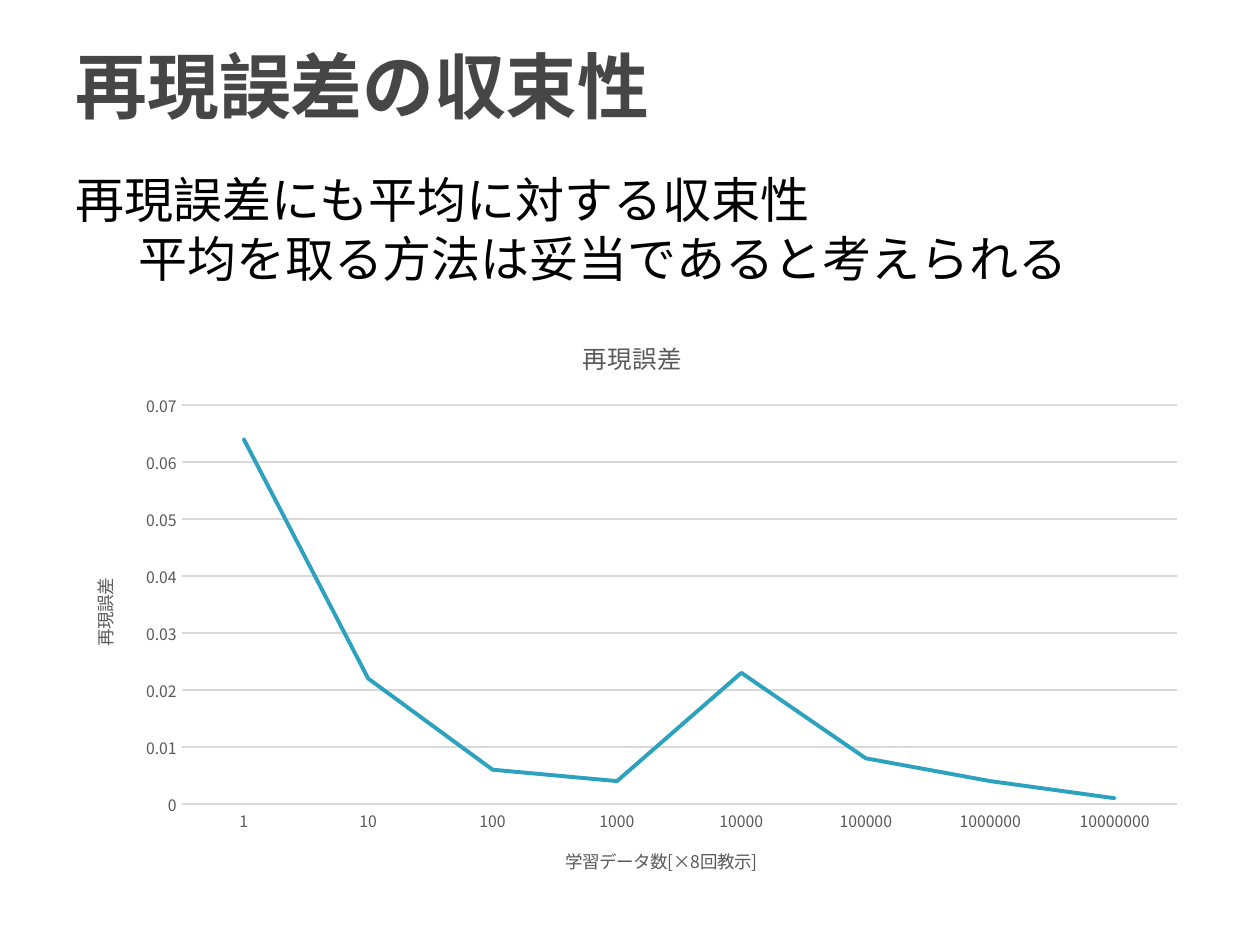
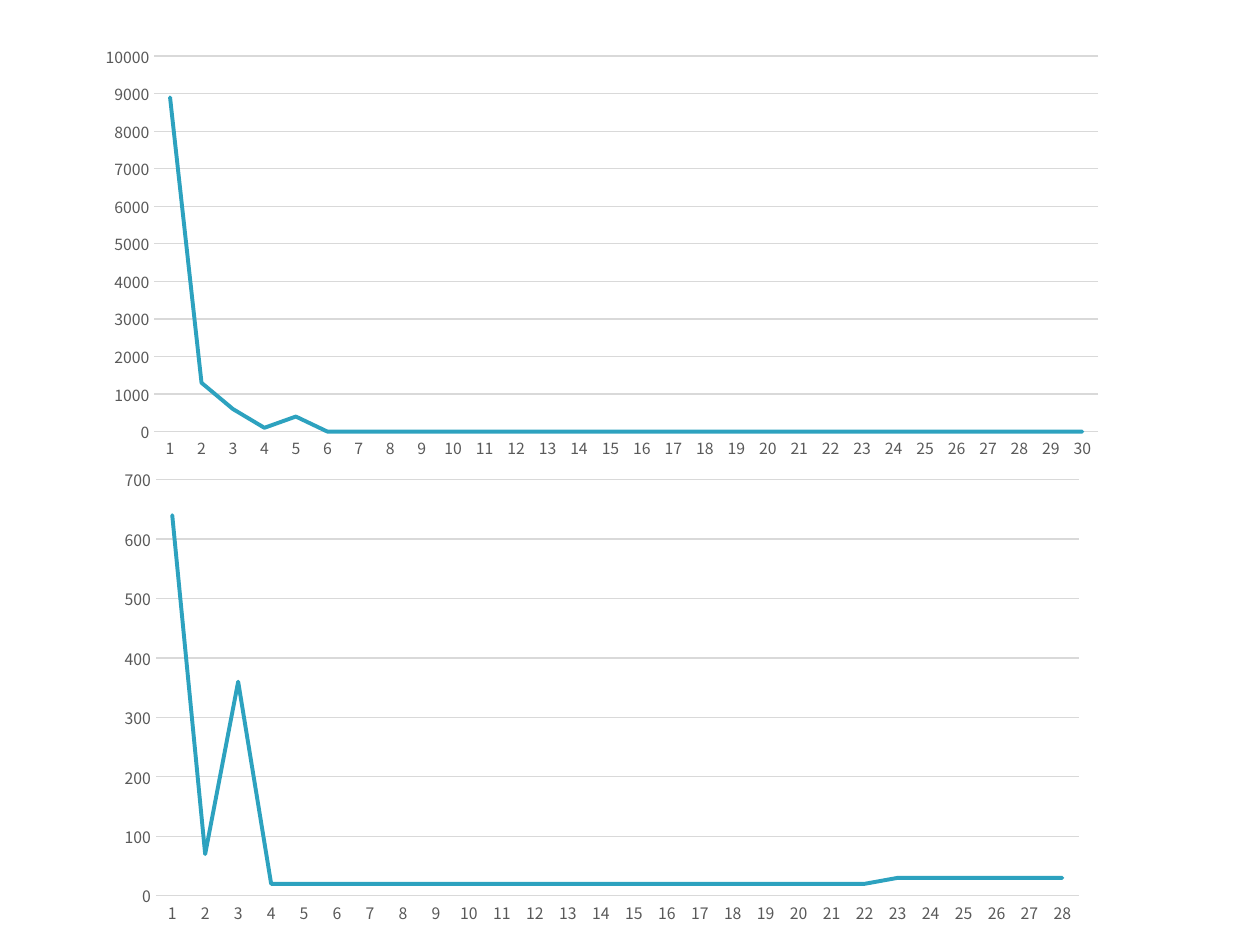
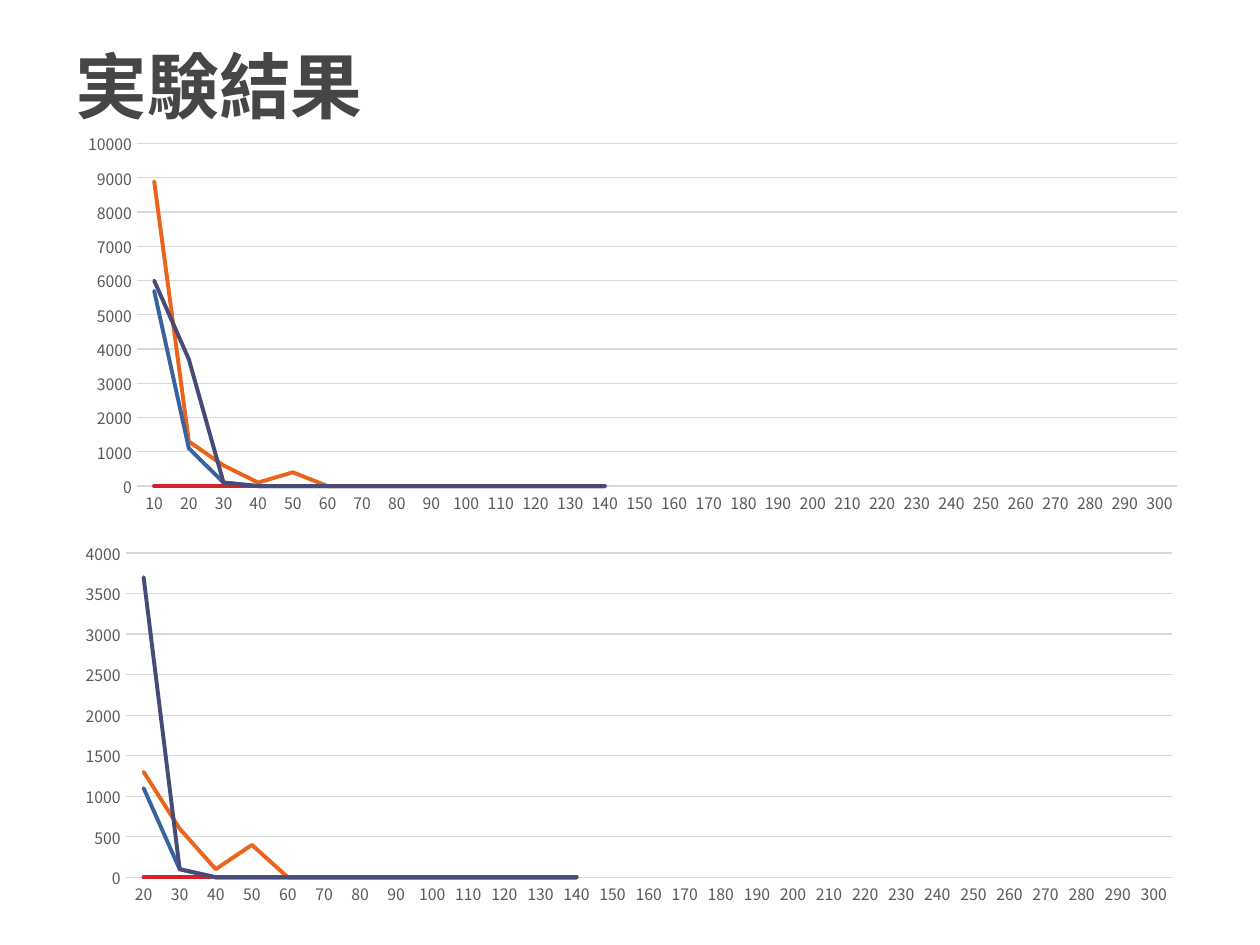
from lxml import etree
from pptx import Presentation
from pptx.chart.data import CategoryChartData
from pptx.dml.color import RGBColor
from pptx.enum.chart import XL_CHART_TYPE, XL_TICK_MARK
from pptx.enum.text import MSO_ANCHOR, MSO_AUTO_SIZE, PP_ALIGN
from pptx.oxml.ns import qn
from pptx.util import Cm, Pt

LINE_CHART = XL_CHART_TYPE.LINE
NO_TICK = XL_TICK_MARK.NONE
MIDDLE = MSO_ANCHOR.MIDDLE
GROW = MSO_AUTO_SIZE.SHAPE_TO_FIT_TEXT
LEFT = PP_ALIGN.LEFT

FONT = "Noto Sans CJK JP"
TITLE_ONLY, BLANK = 5, 6
COLORS = {
    "title": "464646", "body": "000000", "label": "595959", "grid": "D9D9D9",
    "teal": "2DA2BF", "red": "DA1F28", "orange": "EB641B",
    "blue": "39639D", "indigo": "474B78",
}
SERIES_COLORS = ("teal", "red", "orange", "blue", "indigo")

REPRODUCTION_ERRORS = [0.064, 0.022, 0.006, 0.004, 0.023, 0.008, 0.004, 0.001]
FULL_RUN = [8900, 1300, 600, 100, 400] + [0] * 25
LATE_RUN = [640, 70, 360] + [20] * 19 + [30] * 6
TRIAL_LENGTH = 14
TRIAL_STARTS = ([], [], [8900, 1300, 600, 100, 400], [5700, 1100, 100], [6000, 3700, 100])


def rgb(color):
    """Return the named colour."""
    return RGBColor.from_string(COLORS[color])


def format_font(font, size, color, bold=False):
    """Apply the shared typeface with a size and colour."""
    font.name, font.size, font.bold = FONT, Pt(size), bold
    font.color.rgb = rgb(color)


def use_east_asian_font(element):
    """Give Japanese glyphs the same typeface as Latin ones."""
    for latin in list(element.iter(qn("a:latin"))):
        east_asian = etree.Element(qn("a:ea"), typeface=FONT)
        latin.addnext(east_asian)


def write_text(frame, text, size, color, bold=False, align=None, spacing=None, indents=()):
    """Write one paragraph per line of text, with optional left indents."""
    for index, line in enumerate(text.split("\n")):
        paragraph = frame.add_paragraph() if index else frame.paragraphs[0]
        run = paragraph.add_run()
        run.text = line
        format_font(run.font, size, color, bold)
        if align is not None:
            paragraph.alignment = align
        if spacing:
            paragraph.line_spacing = Pt(spacing)
        if index < len(indents) and indents[index]:
            paragraph.level = 1
            paragraph._p.get_or_add_pPr().set("marL", str(Cm(indents[index])))


def add_titled_slide(prs, text):
    """Add a slide with the shared title style."""
    slide = prs.slides.add_slide(prs.slide_layouts[TITLE_ONLY])
    title = slide.shapes.title
    title.left, title.top, title.width, title.height = Cm(1.27), Cm(0.13), Cm(22.86), Cm(3.17)
    title.text_frame.vertical_anchor = MIDDLE
    write_text(title.text_frame, text, 41, "title", bold=True, align=LEFT)
    use_east_asian_font(title.element)
    return slide


def add_findings(slide, text, box, **text_format):
    """Add a body text box that grows with its text."""
    findings = slide.shapes.add_textbox(*map(Cm, box))
    findings.text_frame.word_wrap = True
    findings.text_frame.auto_size = GROW
    write_text(findings.text_frame, text, **text_format)
    use_east_asian_font(findings.element)


def format_axis(axis, title):
    """Format tick labels and the optional title of an axis."""
    axis.major_tick_mark = axis.minor_tick_mark = NO_TICK
    format_font(axis.tick_labels.font, 9, "label")
    axis.has_title = bool(title)
    if title:
        write_text(axis.axis_title.text_frame, title, 10, "label")


def set_plot_area(chart, fractions):
    """Fix the inner plot area as fractions of the chart."""
    plot_area = chart.element.find(".//" + qn("c:plotArea"))
    for old_layout in plot_area.findall(qn("c:layout")):
        plot_area.remove(old_layout)
    layout = etree.Element(qn("c:layout"))
    plot_area.insert(0, layout)
    manual = etree.SubElement(layout, qn("c:manualLayout"))
    settings = [("layoutTarget", "inner"), ("xMode", "edge"), ("yMode", "edge")]
    settings += zip("xywh", map(str, fractions))
    for tag, value in settings:
        etree.SubElement(manual, qn("c:" + tag), val=value)


def add_line_chart(slide, box, categories, series, title=None, category_title=None,
                   value_title=None, plot_area=None):
    """Add a line chart from a dict of series names and values."""
    data = CategoryChartData()
    data.categories = [str(category) for category in categories]
    for name, values in series.items():
        data.add_series(name, values + [None] * (len(categories) - len(values)))
    chart = slide.shapes.add_chart(LINE_CHART, *map(Cm, box), data).chart
    format_font(chart.font, 10, "body")
    chart.has_legend = False
    chart.has_title = bool(title)
    if title:
        write_text(chart.chart_title.text_frame, title, 14, "label")

    format_axis(chart.category_axis, category_title)
    chart.category_axis.format.line.color.rgb = rgb("grid")
    chart.category_axis.format.line.width = Pt(0.75)
    format_axis(chart.value_axis, value_title)
    chart.value_axis.format.line.fill.background()
    gridlines = chart.value_axis.major_gridlines.format.line
    gridlines.color.rgb = rgb("grid")
    gridlines.width = Pt(0.75)
    if value_title:
        body = chart.value_axis.axis_title.text_frame._txBody.find(qn("a:bodyPr"))
        body.set("rot", "-5400000")
        body.set("vert", "horz")

    chart.plots[0].vary_by_categories = False
    for curve, color in zip(chart.plots[0].series, SERIES_COLORS):
        curve.smooth = False
        curve.format.line.color.rgb = rgb(color)
        curve.format.line.width = Pt(2.25)
        curve.format.line._ln.set("cap", "rnd")
    if plot_area:
        set_plot_area(chart, plot_area)
    use_east_asian_font(chart.element)


def build_convergence(prs):
    """Build the slide on the convergence of the reproduction error."""
    slide = add_titled_slide(prs, "再現誤差の収束性")
    add_line_chart(slide, (1.32, 6.32, 22.86, 11.81), [10 ** power for power in range(8)],
                   {"再現誤差": REPRODUCTION_ERRORS}, title="再現誤差",
                   category_title="学習データ数[×8回教示]", value_title="再現誤差")
    add_findings(slide, "再現誤差にも平均に対する収束性\n平均を取る方法は妥当であると考えられる",
                 (1.27, 3.3, 23.62, 2.64), size=28, color="body", spacing=33.6,
                 indents=(0, 1.27))


def build_single_run(prs):
    """Build the slide with one run, in full and without its start."""
    slide = prs.slides.add_slide(prs.slide_layouts[BLANK])
    add_line_chart(slide, (2.11, 0.91, 20.04, 8.33), range(1, 31), {"Series 1": FULL_RUN},
                   plot_area=(0.05, 0.01, 0.95, 0.93))
    add_line_chart(slide, (2.11, 9.25, 20.04, 9.55), range(1, 29), {"Series 1": LATE_RUN})


def build_results(prs):
    """Build the results slide, with and without the first measurement."""
    slide = add_titled_slide(prs, "実験結果")
    steps = range(10, 301, 10)
    trials = {f"Series {number}": start + [0] * (TRIAL_LENGTH - len(start))
              for number, start in enumerate(TRIAL_STARTS, 1)}
    later_trials = {name: values[1:] for name, values in trials.items()}
    add_line_chart(slide, (1.32, 2.51, 22.86, 8), steps, trials)
    add_line_chart(slide, (1.27, 10.77, 22.81, 7.62), steps[1:], later_trials)


def main():
    """Build and save the presentation."""
    prs = Presentation()
    prs.slide_width, prs.slide_height = Cm(25.4), Cm(19.05)
    build_convergence(prs)
    build_single_run(prs)
    build_results(prs)
    prs.save("out.pptx")


if __name__ == "__main__":
    main()
